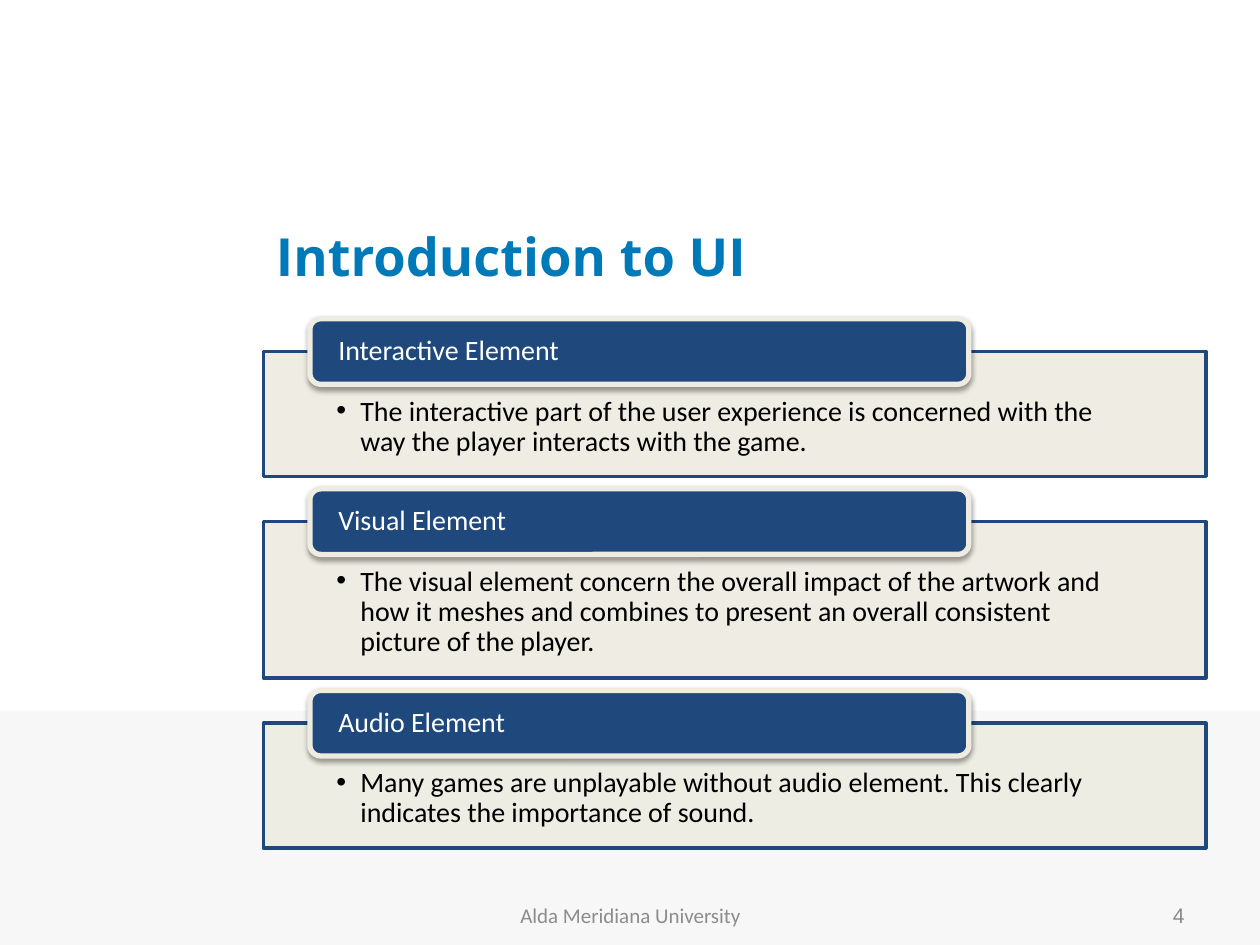
"""Build the "Introduction to UI" slide with three captioned cards."""
from dataclasses import dataclass

from lxml import etree
from pptx import Presentation
from pptx.dml.color import RGBColor
from pptx.enum.shapes import MSO_SHAPE
from pptx.enum.text import MSO_ANCHOR, MSO_AUTO_SIZE, PP_ALIGN
from pptx.oxml.ns import qn
from pptx.util import Inches, Pt

RECT, ROUNDED = MSO_SHAPE.RECTANGLE, MSO_SHAPE.ROUNDED_RECTANGLE
TOP, MIDDLE = MSO_ANCHOR.TOP, MSO_ANCHOR.MIDDLE
LEFT, CENTER, RIGHT = PP_ALIGN.LEFT, PP_ALIGN.CENTER, PP_ALIGN.RIGHT
NO_FIT = MSO_AUTO_SIZE.NONE

NAVY, CREAM, BLUE = "1F497D", "EEECE1", "0079B8"
BAND, BLACK, WHITE = "F7F7F7", "000000", "FFFFFF"
CARD_LEFT, CARD_WIDTH, FIRST_TOP, GAP = 2.09, 7.48, 2.79, 0.36
CAPTION_LEFT, CAPTION_WIDTH, CAPTION_HEIGHT, CAPTION_RISE = 2.46, 5.23, 0.52, 0.26


@dataclass
class Card:
    caption: str
    body: str
    height: float


@dataclass
class Footer:
    text: str
    left: float
    width: float
    align: PP_ALIGN
    font: str
    color: str


CARDS = [
    Card("Interactive Element",
         "The interactive part of the user experience is concerned with the "
         "way the player interacts with the game.", 0.99),
    Card("Visual Element",
         "The visual element concern the overall impact of the artwork and "
         "how it meshes and combines to present an overall consistent "
         "picture of the player.", 1.24),
    Card("Audio Element",
         "Many games are unplayable without audio element. This clearly "
         "indicates the importance of sound.", 0.99),
]
FOOTERS = [
    Footer("Alda Meridiana University", 3.42, 3.17, CENTER, "Calibri", "8C8C8C"),
    Footer("4", 7.17, 2.33, RIGHT, "Arial", "898989"),
]


def rgb(value: str) -> RGBColor:
    """Return the colour for a hex string."""
    return RGBColor.from_string(value)


def add_box(slide, kind, box, fill: str, line: str = "", width: float = 0):
    """Add a filled preset shape, outlined if a line colour is given."""
    sp = slide.shapes.add_shape(kind, *map(Inches, box))
    sp.shadow.inherit = False
    sp.fill.solid()
    sp.fill.fore_color.rgb = rgb(fill)
    if line:
        sp.line.color.rgb = rgb(line)
        sp.line.width = Pt(width)
    else:
        sp.line.fill.background()
    return sp


def write(sp, text: str, color: str, font: str = "Calibri", size: float = 16,
          bold: bool = False, align=LEFT, anchor=MIDDLE, spacing: float = 1.0,
          insets=(0.1, 0.05, 0.1, 0.05)):
    """Put one formatted paragraph in a shape and return it."""
    tf = sp.text_frame
    sides = ("margin_left", "margin_top", "margin_right", "margin_bottom")
    frame = {"word_wrap": True, "auto_size": NO_FIT, "vertical_anchor": anchor}
    frame.update(zip(sides, map(Inches, insets)))
    p = tf.paragraphs[0]
    r = p.add_run()
    r.text = text
    r.font.color.rgb = rgb(color)
    formats = (
        (tf, frame),
        (p, {"alignment": align, "line_spacing": spacing}),
        (r.font, {"name": font, "size": Pt(size), "bold": bold}),
    )
    for target, values in formats:
        for name, value in values.items():
            setattr(target, name, value)
    return p


def add_alpha(parent, percent: int) -> None:
    """Set the opacity of the colour element inside a parent."""
    color = parent.find(".//" + qn("a:srgbClr"))
    etree.SubElement(color, qn("a:alpha"), val=str(percent * 1000))


def add_shadow(sp) -> None:
    """Give a shape a soft shadow below it."""
    effects = sp._element.spPr.find(qn("a:effectLst"))
    shadow = etree.SubElement(effects, qn("a:outerShdw"), blurRad=str(Pt(3.1)),
                              dist=str(Pt(1.6)), dir="5400000", rotWithShape="0")
    etree.SubElement(shadow, qn("a:srgbClr"), val=BLACK)
    add_alpha(shadow, 38)


def add_bullet(p) -> None:
    """Give a paragraph a hanging round bullet."""
    pPr = p._p.get_or_add_pPr()
    pPr.set("marL", str(Inches(0.19)))
    pPr.set("indent", str(-Inches(0.19)))
    etree.SubElement(pPr, qn("a:buFont"), typeface="Arial")
    etree.SubElement(pPr, qn("a:buChar"), char="•")


def add_card(slide, card: Card, top: float) -> None:
    """Add a bulleted card with its caption over the top edge."""
    sp = add_box(slide, RECT, (CARD_LEFT, top, CARD_WIDTH, card.height), CREAM, NAVY, 2)
    add_alpha(sp._element.spPr.find(qn("a:solidFill")), 90)
    add_bullet(write(sp, card.body, BLACK, anchor=TOP, spacing=0.9,
                     insets=(0.58, 0.36, 0.58, 0.12)))
    box = (CAPTION_LEFT, top - CAPTION_RISE, CAPTION_WIDTH, CAPTION_HEIGHT)
    sp = add_box(slide, ROUNDED, box, NAVY, CREAM, 3)
    add_shadow(sp)
    write(sp, card.caption, WHITE, spacing=0.9, insets=(0.2, 0, 0.2, 0))


def main() -> None:
    """Build and save the slide."""
    prs = Presentation()
    prs.slide_width, prs.slide_height = Inches(10), Inches(7.5)
    slide = prs.slides.add_slide(prs.slide_layouts[5])
    add_box(slide, RECT, (0, 5.64, 10, 1.86), BAND)

    title = slide.shapes.title
    title.left, title.top = Inches(CARD_LEFT), Inches(1.59)
    title.width, title.height = Inches(CARD_WIDTH), Inches(0.87)
    write(title, "Introduction to UI", BLUE, "Open Sans", 30, True)

    top = FIRST_TOP
    for card in CARDS:
        add_card(slide, card, top)
        top += card.height + GAP

    for item in FOOTERS:
        box = (item.left, 7.06, item.width, 0.4)
        sp = slide.shapes.add_textbox(*map(Inches, box))
        write(sp, item.text, item.color, item.font, 12, align=item.align)

    prs.save("out.pptx")


main()
